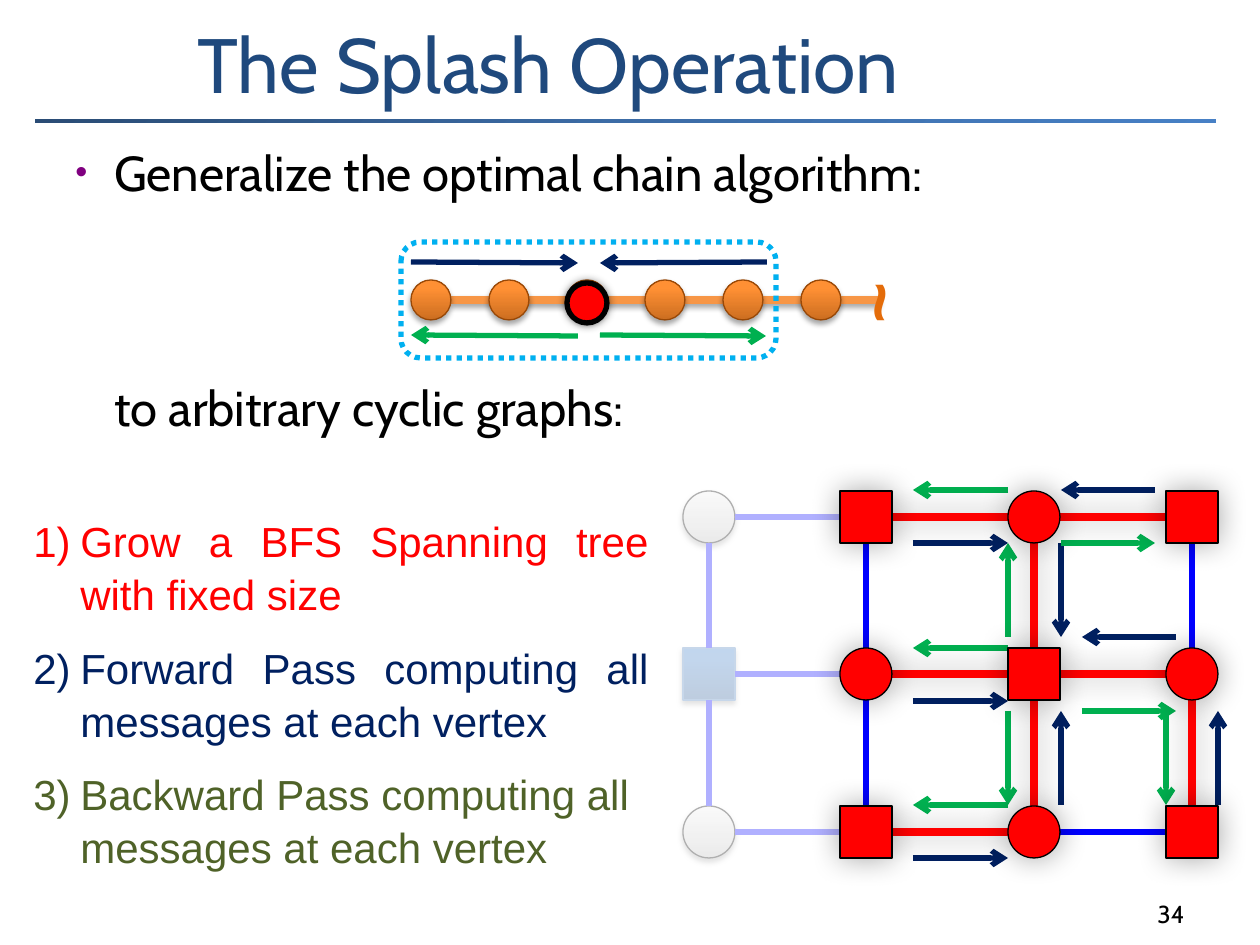
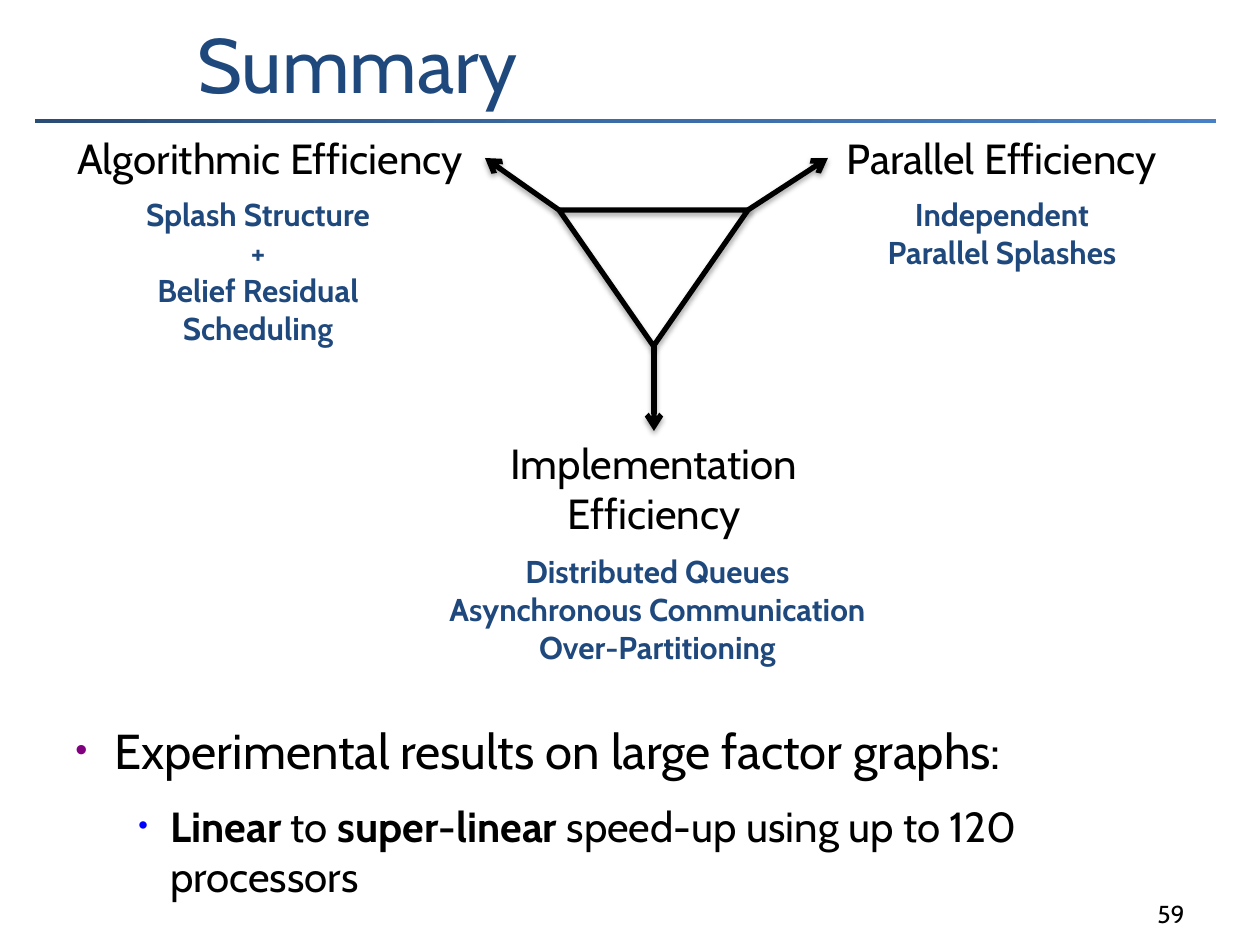
import lxml.etree
import pptx
import pptx.dml.color
import pptx.enum.dml
import pptx.enum.shapes
import pptx.enum.text
import pptx.oxml.ns
import pptx.util

SCALE = 914400 / 126  # EMU in one px
COLORS = {
    "white": "FFFFFF", "black": "000000", "title": "1F497D", "red": "FF0000",
    "blue": "0000FF", "navy": "002060", "green": "00B050", "olive": "4F6228",
    "orange": "F79646", "dark orange": "E46C0A", "brown": "984807",
    "sky": "00B0F0", "steel": "4B7EBC", "purple": "800080",
}
GRADIENTS = {
    "band": [(0, "2A4C75"), (50, "3C6CA6"), (100, "4780C5")],
    "gray": [(0, "BDBDBD"), (35, "D1D1D1"), (100, "EEEEEE")],
    "steel": [(0, "2F5F99"), (80, "3D7CC7"), (100, "3A7CCB")],
    "orange": [(0, "CC6E20"), (80, "FF9034"), (100, "FF9136")],
}
# opacity %, blur pt, distance pt
DROP, GLOW, RING = (35, 3.1, 1.8), (35, 17, 0), (40, 5, 0)

qn = pptx.oxml.ns.qn
SubElement = lxml.etree.SubElement
SHAPE = pptx.enum.shapes.MSO_SHAPE
ALIGN = pptx.enum.text.PP_ALIGN
ANCHOR = pptx.enum.text.MSO_ANCHOR


def draw(slide, kind, box, line=None, width=3, fill=None, gradient=None, angle=90,
         alpha=None, shadow=None, dash=None, arrow=False):
    """Add a preset shape, or a connector from start to end if kind is None."""
    box = [round(value * SCALE) for value in box]
    if kind is None:
        shape = slide.shapes.add_connector(pptx.enum.shapes.MSO_CONNECTOR.STRAIGHT, *box)
        properties = shape.element.spPr
    else:
        shape = slide.shapes.add_shape(kind, *box)
        properties = shape.element.spPr
        if gradient:
            shape.fill.gradient()
            shape.fill.gradient_angle = angle
            stops = properties.find(".//" + qn("a:gsLst"))
            stops.clear()
            for position, color in GRADIENTS[gradient]:
                stop = SubElement(stops, qn("a:gs"), pos=str(position * 1000))
                SubElement(stop, qn("a:srgbClr"), val=color)
        elif fill:
            shape.fill.solid()
            shape.fill.fore_color.rgb = pptx.dml.color.RGBColor.from_string(COLORS[fill])
            if alpha:
                color = properties.find(".//" + qn("a:srgbClr"))
                SubElement(color, qn("a:alpha"), val=str(alpha * 1000))
        else:
            shape.fill.background()
    if line:
        shape.line.color.rgb = pptx.dml.color.RGBColor.from_string(COLORS[line])
        shape.line.width = pptx.util.Pt(width)
    else:
        shape.line.fill.background()
    if dash:
        shape.line.dash_style = dash
    if arrow:
        SubElement(properties.find(qn("a:ln")), qn("a:tailEnd"), type="arrow")
    effects = SubElement(properties, qn("a:effectLst"))
    if shadow:
        opacity, blur, distance = shadow
        outer = SubElement(effects, qn("a:outerShdw"), blurRad=str(pptx.util.Pt(blur)),
                           dist=str(pptx.util.Pt(distance)),
                           dir="5400000" if distance else "0", rotWithShape="0")
        color = SubElement(outer, qn("a:srgbClr"), val=COLORS["black"])
        SubElement(color, qn("a:alpha"), val=str(opacity * 1000))
    return shape


def write(slide, box, paragraphs, size, color="black", font="Cabin", bold=False,
          align=None, anchor=ANCHOR.TOP, wrap=True):
    """Add a text box; a paragraph is a string or a dict that overrides the defaults."""
    shape = slide.shapes.add_textbox(*[round(value * SCALE) for value in box])
    frame = shape.text_frame
    frame.word_wrap = wrap
    frame.vertical_anchor = anchor
    for index, item in enumerate(paragraphs):
        item = {"text": item} if isinstance(item, str) else item
        paragraph = frame.paragraphs[0] if index == 0 else frame.add_paragraph()
        paragraph.alignment = item.get("align", align)
        if "before" in item:
            paragraph.space_before = pptx.util.Pt(item["before"])
        if "spacing" in item:
            paragraph.line_spacing = item["spacing"]
        if "indent" in item:
            left, hanging = item["indent"]
            settings = paragraph._p.get_or_add_pPr()
            settings.set("marL", str(round(left * SCALE)))
            settings.set("indent", str(round(-hanging * SCALE)))
            if "bullet" in item:
                bullet_color, percent = item["bullet"]
                holder = SubElement(settings, qn("a:buClr"))
                SubElement(holder, qn("a:srgbClr"), val=COLORS[bullet_color])
                SubElement(settings, qn("a:buSzPct"), val=str(percent * 1000))
                SubElement(settings, qn("a:buFont"), typeface="Arial")
                SubElement(settings, qn("a:buChar"), char="•")
            elif item.get("numbered"):
                SubElement(settings, qn("a:buFont"), typeface="+mj-lt")
                SubElement(settings, qn("a:buAutoNum"), type="arabicParenR")
        for text, run_bold in item.get("runs") or [(item["text"], bold)]:
            run = paragraph.add_run()
            run.text = text
            run.font.name = font
            run.font.size = pptx.util.Pt(item.get("size", size))
            run.font.bold = run_bold
            run.font.color.rgb = pptx.dml.color.RGBColor.from_string(
                COLORS[item.get("color", color)])
    return shape


presentation = pptx.Presentation()
presentation.slide_width = round(1260 * SCALE)
presentation.slide_height = round(945 * SCALE)

slides = []
for title, number in [("The Splash Operation", "34"), ("Summary", "59")]:
    slide = presentation.slides.add_slide(presentation.slide_layouts[6])
    draw(slide, SHAPE.RECTANGLE, (32, 116, 1187, 10), "white", gradient="band", angle=315)
    write(slide, (185, 10, 1033, 105), [title], 44, "title", anchor=ANCHOR.BOTTOM)
    write(slide, (935, 872, 262, 63), [number], 14, align=ALIGN.RIGHT, anchor=ANCHOR.BOTTOM)
    slides.append(slide)
splash, summary = slides

# Splash: factor graph, circles and squares alternating on a grid
COLUMNS, ROWS, HALF = [709, 866, 1034, 1192], [517, 674, 832], 26
nodes = [(row, column) for row in range(3) for column in range(4)]
edges = [(row, column, 0, 1) for row, column in nodes if column < 3]
edges += [(row, column, 1, 0) for row, column in nodes if row < 2]
tree = [(0, 1, 0, 1), (0, 2, 0, 1), (0, 2, 1, 0), (1, 1, 0, 1),
        (1, 2, 0, 1), (1, 2, 1, 0), (2, 1, 0, 1), (1, 3, 1, 0)]
node_boxes = {(row, column): (COLUMNS[column] - HALF, ROWS[row] - HALF, 2 * HALF, 2 * HALF)
              for row, column in nodes}
edge_ends = {
    (row, column, down, right): (COLUMNS[column] + HALF * right, ROWS[row] + HALF * down,
                                 COLUMNS[column + right] - HALF * right,
                                 ROWS[row + down] - HALF * down)
    for row, column, down, right in edges}

# The first column is outside the tree and lies under a white veil
for row in range(3):
    if row % 2:
        draw(splash, SHAPE.RECTANGLE, node_boxes[row, 0], "steel", 0.75,
             gradient="steel", shadow=DROP)
    else:
        draw(splash, SHAPE.OVAL, node_boxes[row, 0], "black", 0.75,
             gradient="gray", shadow=DROP)
for edge in edges:
    if edge[1] == 0:
        draw(splash, None, edge_ends[edge], "blue")
draw(splash, SHAPE.RECTANGLE, (672, 470, 577, 399), fill="white", alpha=69)

write(splash, (63, 136, 1144, 315), [
    {"text": "Generalize the optimal chain algorithm:", "indent": (39, 39),
     "bullet": ("purple", 70)},
    {"text": "to arbitrary cyclic graphs:", "indent": (39, 0), "before": 101},
], 28)

# Chain
draw(splash, None, (451, 300, 879, 300), "orange", 4.5, shadow=DROP)
for index in range(6):
    draw(splash, SHAPE.OVAL, (411 + 78 * index, 280, 40, 40), "brown", 0.75,
         gradient="orange", shadow=DROP)
window = draw(splash, SHAPE.ROUNDED_RECTANGLE, (401, 242, 375, 116), "sky",
              dash=pptx.enum.dml.MSO_LINE.ROUND_DOT)
write(splash, (834, 246, 83, 97), ["~"], 40, "dark orange", "Arial", True).rotation = 270
draw(splash, SHAPE.OVAL, (567, 283, 40, 40), "black", fill="red", shadow=RING)

for edge in edges:
    if edge[1] > 0:
        draw(splash, None, edge_ends[edge], "blue")

# Messages, each from its start to its tip
messages = {
    "navy": [(411, 262, 578, 263), (767, 262, 600, 263),
             (913, 543, 1008, 543), (1155, 490, 1061, 490), (913, 701, 1008, 701),
             (913, 858, 1008, 858), (1176, 637, 1082, 637), (1061, 543, 1061, 637),
             (1061, 805, 1061, 711), (1218, 805, 1218, 711)],
    "green": [(578, 336, 411, 335), (600, 335, 766, 336),
              (1061, 543, 1155, 543), (1008, 490, 913, 490), (1082, 711, 1176, 711),
              (1008, 805, 913, 805), (1008, 648, 913, 648), (1008, 711, 1008, 805),
              (1008, 637, 1008, 543), (1166, 711, 1166, 805)],
}
for color, arrows in messages.items():
    for ends in arrows:
        draw(splash, None, ends, color, arrow=True)

for edge in tree:
    draw(splash, None, edge_ends[edge], "red", 4.5, shadow=GLOW)
for row, column in nodes:
    if column > 0:
        kind = SHAPE.RECTANGLE if (row + column) % 2 else SHAPE.OVAL
        draw(splash, kind, node_boxes[row, column], "black", 0.75, fill="red", shadow=GLOW)

steps = [("Grow a BFS Spanning tree with fixed size", "red", ALIGN.JUSTIFY),
         ("Forward Pass computing all messages at each vertex", "navy", ALIGN.JUSTIFY),
         ("Backward Pass computing all messages at each vertex", "olive", ALIGN.LEFT)]
step_box = write(splash, (21, 513, 640, 426), [
    {"text": text, "color": color, "align": align, "indent": (47, 47), "numbered": True,
     "spacing": 1.05, "before": 12 if index else 0}
    for index, (text, color, align) in enumerate(steps)], 24, font="Arial")
step_box.text_frame.margin_top = 0

# Summary: three kinds of efficiency around a triangle
headings = [((55, 126, 430, 63), ["Algorithmic Efficiency"]),
            ((828, 126, 348, 63), ["Parallel Efficiency"]),
            ((494, 431, 320, 115), ["Implementation", "Efficiency"])]
for box, lines in headings:
    write(summary, box, lines, 24, align=ALIGN.CENTER, wrap=False)

triangle = draw(summary, SHAPE.ISOSCELES_TRIANGLE, (559, 210, 189, 136), "black", shadow=DROP)
triangle.rotation = 180
for ends in [(559, 210, 485, 158), (748, 210, 828, 158), (654, 346, 654, 431)]:
    draw(summary, None, ends, "black", shadow=DROP, arrow=True)

details = [((854, 189, 296, 89), ["Independent", "Parallel Splashes"]),
           ((108, 189, 300, 165), ["Splash Structure", "+", "Belief Residual", "Scheduling"]),
           ((403, 546, 509, 127), ["Distributed Queues", "Asynchronous Communication",
                                   "Over-Partitioning"])]
for box, lines in details:
    write(summary, box, lines, 18, "title", bold=True, align=ALIGN.CENTER, wrap=False)

write(summary, (63, 714, 1144, 231), [
    {"text": "Experimental results on large factor graphs:", "indent": (39, 39),
     "bullet": ("purple", 70)},
    {"runs": [("Linear", True), (" to ", False), ("super-linear", True),
              (" speed-up using up to 120 processors", False)],
     "size": 24, "indent": (95, 32), "bullet": ("blue", 65), "before": 12},
], 28)

presentation.save("out.pptx")
